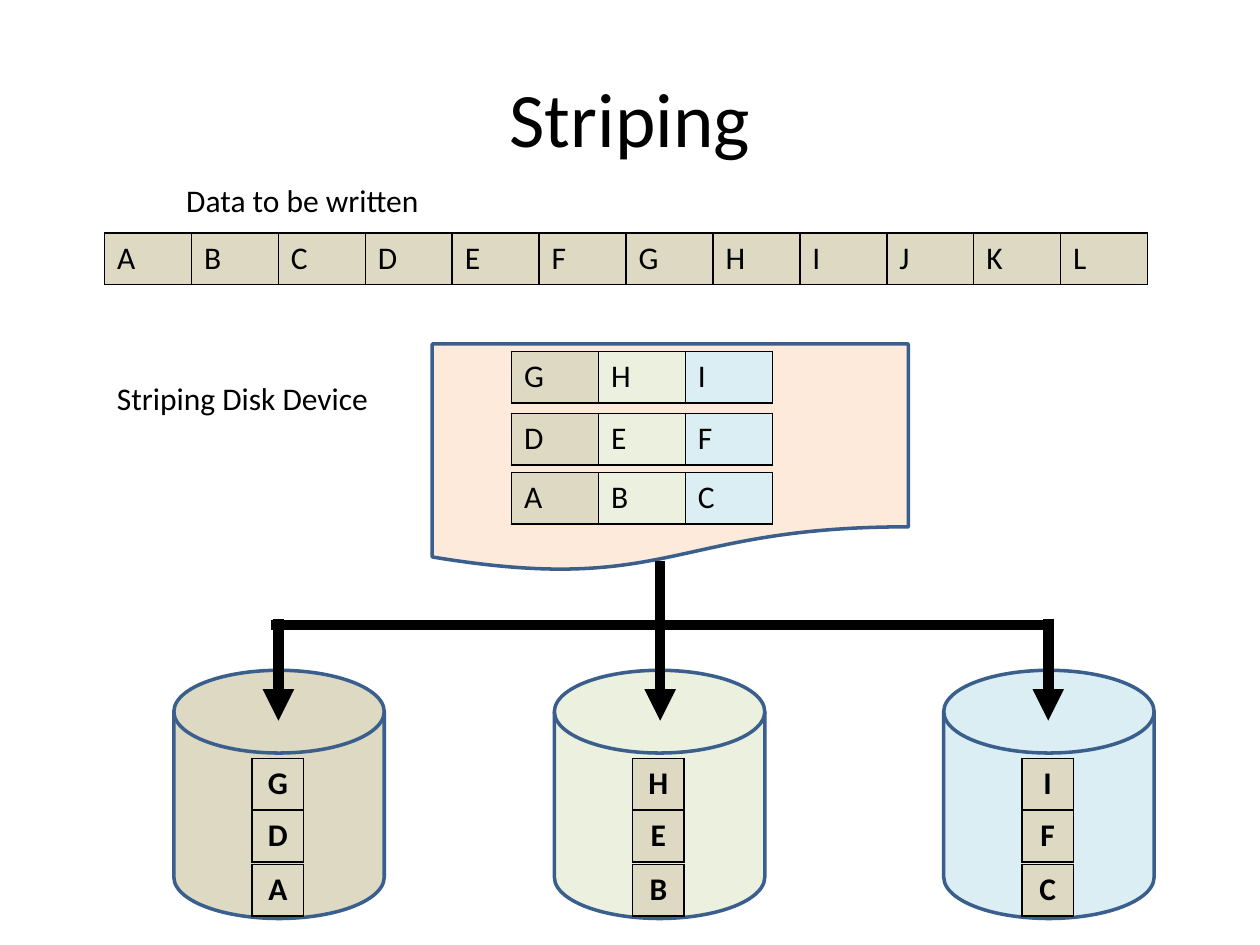
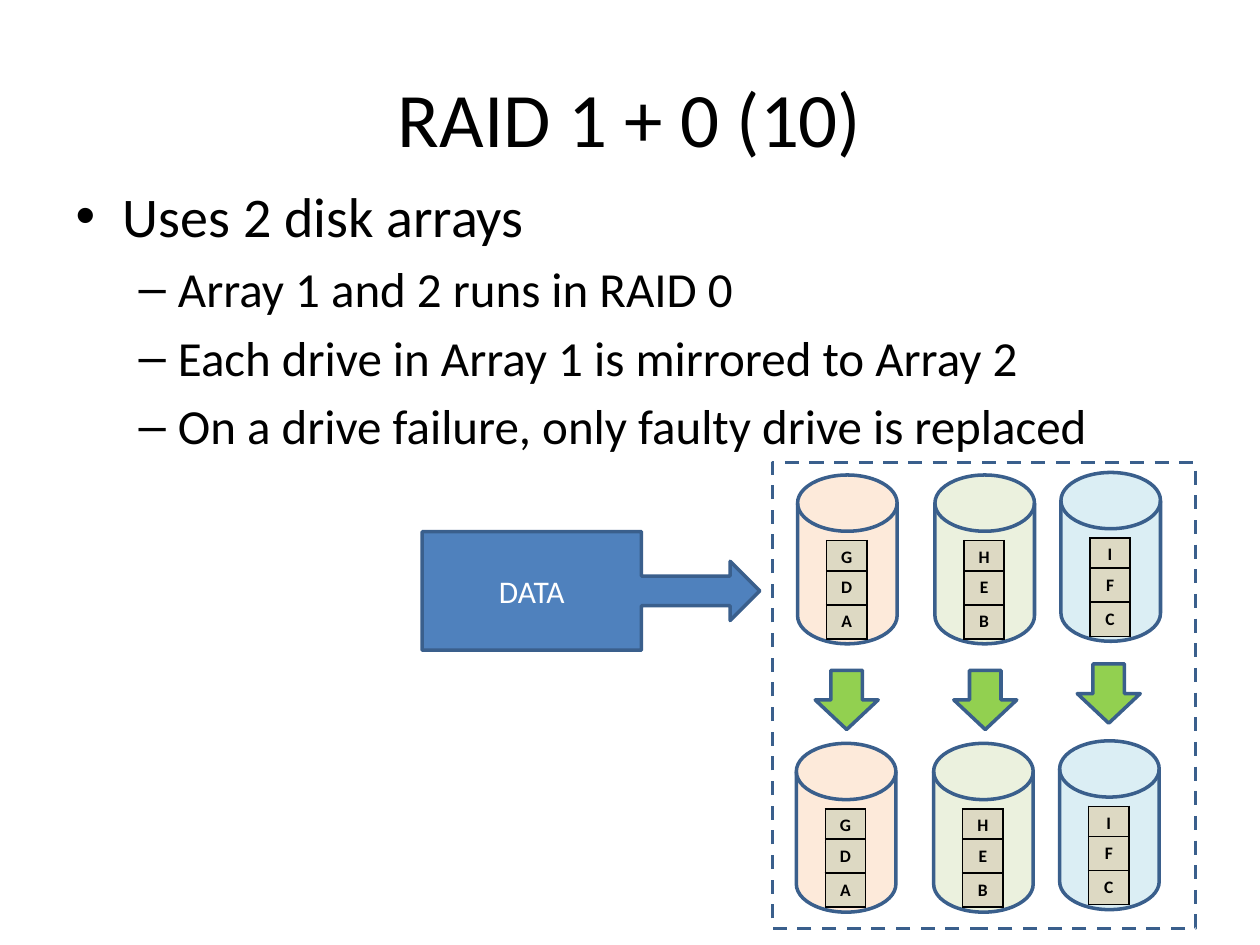
from lxml.etree import SubElement
from pptx import Presentation
from pptx.dml.color import RGBColor
from pptx.enum.dml import MSO_LINE
from pptx.enum.shapes import MSO_CONNECTOR, MSO_SHAPE
from pptx.enum.text import MSO_ANCHOR, MSO_AUTO_SIZE, PP_ALIGN
from pptx.oxml.ns import qn
from pptx.util import Pt

PX = 9144  # 100 px to the inch
FONT = "Calibri"
COLORS = {
    "black": "000000",
    "white": "FFFFFF",
    "outline": "3A5F8C",
    "tan": "DDD9C3",
    "green": "EBF1DE",
    "blue": "DBEEF4",
    "peach": "FDEADA",
    "arrow": "92D050",
    "data": "4F81BD",
}
STRIPES = ["ABC", "DEF", "GHI"]
STACKS = ["".join(column) for column in zip(*reversed(STRIPES))]


def write(paragraph, text, size=18, color="black", bold=False, align=PP_ALIGN.LEFT):
    paragraph.alignment = align
    run = paragraph.add_run()
    run.text = text
    run.font.name = FONT
    run.font.size = Pt(size)
    run.font.bold = bold
    run.font.color.rgb = RGBColor.from_string(COLORS[color])


def add_cells(slide, left, top, letters, fills, width, height, **text_format):
    """Add a one-row table with a letter, a fill and a thin border in each cell."""
    table = slide.shapes.add_table(
        1, len(letters), left * PX, top * PX, width * len(letters) * PX, height * PX
    ).table
    table.first_row = False
    table.horz_banding = False
    table.rows[0].height = height * PX
    for column, letter, fill in zip(table.columns, letters, fills):
        column.width = width * PX
    for cell, letter, fill in zip(table.rows[0].cells, letters, fills):
        properties = cell._tc.get_or_add_tcPr()
        for side in ("a:lnL", "a:lnR", "a:lnT", "a:lnB"):
            border = SubElement(properties, qn(side), w=str(Pt(1)))
            border_fill = SubElement(border, qn("a:solidFill"))
            SubElement(border_fill, qn("a:srgbClr"), val=COLORS["black"])
        cell.fill.solid()
        cell.fill.fore_color.rgb = RGBColor.from_string(COLORS[fill])
        write(cell.text_frame.paragraphs[0], letter, **text_format)


presentation = Presentation()
presentation.slide_width = 1000 * PX
presentation.slide_height = 750 * PX

# Slides and titles
striping = presentation.slides.add_slide(presentation.slide_layouts[5])
raid = presentation.slides.add_slide(presentation.slide_layouts[1])
for slide, heading in ((striping, "Striping"), (raid, "RAID 1 + 0 (10)")):
    title = slide.shapes.title
    title.left, title.top, title.width, title.height = 50 * PX, 30 * PX, 900 * PX, 125 * PX
    title.text_frame.vertical_anchor = MSO_ANCHOR.MIDDLE
    write(title.text_frame.paragraphs[0], heading, size=44, align=PP_ALIGN.CENTER)

# Bullet list
body = raid.placeholders[1]
body.left, body.top, body.width, body.height = 50 * PX, 139 * PX, 900 * PX, 495 * PX
first = body.text_frame.paragraphs[0]
first.space_before = Pt(0)
write(first, "Uses 2 disk arrays", size=32)
for point in (
    "Array 1 and 2 runs in RAID 0",
    "Each drive in Array 1 is mirrored to Array 2",
    "On a drive failure, only faulty drive is replaced",
):
    paragraph = body.text_frame.add_paragraph()
    paragraph.level = 1
    write(paragraph, point, size=28)

# Captions
for left, top, width, caption in (
    (138, 139, 207, "Data to be written"),
    (83, 296, 222, "Striping Disk Device"),
):
    box = striping.shapes.add_textbox(left * PX, top * PX, width * PX, 40 * PX)
    box.text_frame.word_wrap = False
    box.text_frame.auto_size = MSO_AUTO_SIZE.SHAPE_TO_FIT_TEXT
    write(box.text_frame.paragraphs[0], caption)

# Disks: slide, left, top, fill, stack of letters
striping_disks = [
    (striping, left, 532, fill, stack)
    for left, fill, stack in zip((138, 440, 749), ("tan", "green", "blue"), STACKS)
]
raid_disks = [
    (raid, left + shift, top + drop, fill, stack)
    for shift, drop in ((0, 0), (-1, 213))
    for left, top, fill, stack in zip(
        (633, 742, 842), (377, 377, 375), ("peach", "green", "blue"), STACKS
    )
]

# Shapes: slide, kind, left, top, width, height, fill
DISK = MSO_SHAPE.FLOWCHART_MAGNETIC_DISK
shapes = [
    (striping, MSO_SHAPE.FLOWCHART_DOCUMENT, 343, 273, 378, 181, "peach"),
    (raid, MSO_SHAPE.RECTANGLE, 613, 367, 336, 370, "white"),
]
shapes += [(slide, DISK, left, top, 167, 197, fill) for slide, left, top, fill, _ in striping_disks]
shapes += [(slide, DISK, left, top, 79, 134, fill) for slide, left, top, fill, _ in raid_disks]
shapes += [
    (raid, MSO_SHAPE.DOWN_ARROW, left, top, 50, 47, "arrow")
    for left, top in ((647, 532), (757, 532), (855, 527))
]
shapes.append((raid, MSO_SHAPE.RIGHT_ARROW_CALLOUT, 335, 422, 268, 94, "data"))

for slide, kind, left, top, width, height, fill in shapes:
    shape = slide.shapes.add_shape(kind, left * PX, top * PX, width * PX, height * PX)
    shape.shadow.inherit = False
    shape.fill.solid()
    shape.fill.fore_color.rgb = RGBColor.from_string(COLORS[fill])
    shape.line.color.rgb = RGBColor.from_string(COLORS["outline"])
    shape.line.width = Pt(2)
    if kind == MSO_SHAPE.RECTANGLE:
        shape.line.dash_style = MSO_LINE.DASH
    if kind == MSO_SHAPE.RIGHT_ARROW_CALLOUT:
        shape.text_frame.vertical_anchor = MSO_ANCHOR.MIDDLE
        write(shape.text_frame.paragraphs[0], "DATA", color="white", align=PP_ALIGN.CENTER)

# Data blocks and the stripes they are cut into
add_cells(striping, 83, 185, "ABCDEFGHIJKL", ["tan"] * 12, 69, 41)
for top, stripe in zip((375, 328, 279), STRIPES):
    add_cells(striping, 406, top, stripe, ["tan", "green", "blue"], 69, 41)

# Letters stored on each disk
for disks, inset, drops, width, height, size in (
    (striping_disks, 62, (70, 111, 154), 41, 41, 18),
    (raid_disks, 23, (52, 76, 103), 32, 27, 10),
):
    for slide, left, top, _, stack in disks:
        for drop, letter in zip(drops, stack):
            add_cells(slide, left + inset, top + drop, letter, ["tan"], width, height,
                      size=size, bold=True, align=PP_ALIGN.CENTER)

# Lines from the striping device to the disks
for x1, y1, x2, y2 in (
    (215, 496, 832, 496),
    (221, 491, 221, 572),
    (832, 491, 832, 572),
    (524, 445, 524, 572),
):
    connector = striping.shapes.add_connector(
        MSO_CONNECTOR.STRAIGHT, x1 * PX, y1 * PX, x2 * PX, y2 * PX
    )
    connector.line.color.rgb = RGBColor.from_string(COLORS["black"])
    connector.line.width = Pt(6)
    if x1 == x2:
        SubElement(connector.line._get_or_add_ln(), qn("a:tailEnd"), type="triangle")
    SubElement(connector._element.spPr, qn("a:effectLst"))

presentation.save("out.pptx")
